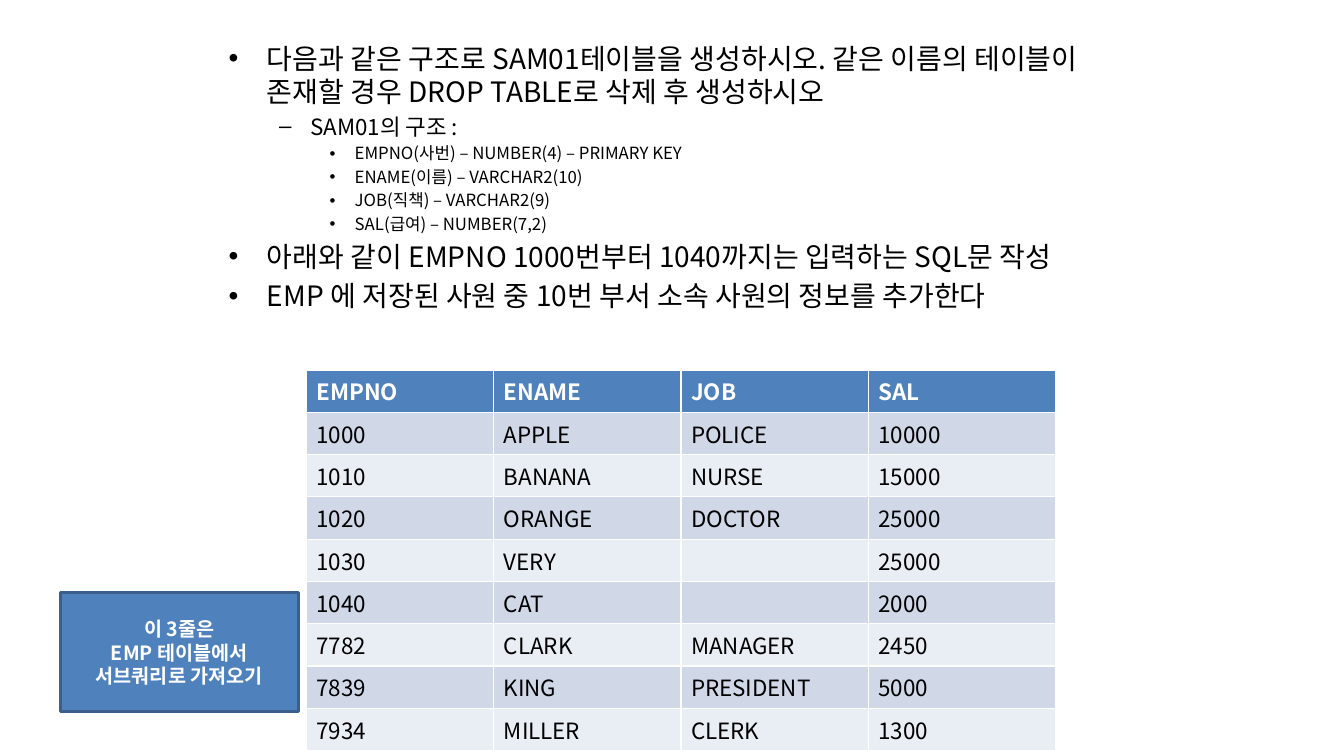
from lxml import etree
from pptx import Presentation
from pptx.dml.color import RGBColor
from pptx.enum.shapes import MSO_SHAPE
from pptx.enum.text import MSO_ANCHOR, PP_ALIGN
from pptx.oxml.ns import qn
from pptx.util import Inches, Pt

RECT = MSO_SHAPE.RECTANGLE
MIDDLE = MSO_ANCHOR.MIDDLE
CENTER = PP_ALIGN.CENTER

FONT = "Noto Sans CJK KR"
BLUE, EDGE, BLACK, WHITE = "4F81BD", "3A5F8C", "000000", "FFFFFF"
BANDS = ("E9EDF4", "D0D8E8")

# Per level: size, left margin, hanging indent, bullet
LEVELS = (
    (20, 0.38, 0.38, "•"),
    (16, 0.81, 0.31, "–"),
    (12, 1.25, 0.25, "•"),
)

TASKS = (
    (0, "다음과 같은 구조로 SAM01테이블을 생성하시오. 같은 이름의 테이블이 "
        "존재할 경우 DROP TABLE로 삭제 후 생성하시오"),
    (1, "SAM01의 구조 :"),
    (2, "EMPNO(사번) – NUMBER(4) – PRIMARY KEY"),
    (2, "ENAME(이름) – VARCHAR2(10)"),
    (2, "JOB(직책) – VARCHAR2(9)"),
    (2, "SAL(급여) – NUMBER(7,2)"),
    (0, "아래와 같이 EMPNO 1000번부터 1040까지는 입력하는 SQL문 작성"),
    (0, "EMP 에 저장된 사원 중 10번 부서 소속 사원의 정보를 추가한다"),
)

ROWS = (
    ("EMPNO", "ENAME", "JOB", "SAL"),
    ("1000", "APPLE", "POLICE", "10000"),
    ("1010", "BANANA", "NURSE", "15000"),
    ("1020", "ORANGE", "DOCTOR", "25000"),
    ("1030", "VERY", "", "25000"),
    ("1040", "CAT", "", "2000"),
    ("7782", "CLARK", "MANAGER", "2450"),
    ("7839", "KING", "PRESIDENT", "5000"),
    ("7934", "MILLER", "CLERK", "1300"),
)

NOTE = ("이 3줄은", "EMP 테이블에서", "서브쿼리로 가져오기")


def color(code):
    return RGBColor.from_string(code)


def apply(part, values):
    for name, value in values.items():
        setattr(part, name, value)


def write(para, text, size, tint, bold=False):
    """Put one run in a paragraph, with the font for Latin and Hangul."""
    run = para.add_run()
    run.text = text
    apply(run.font, {"name": FONT, "size": Pt(size), "bold": bold})
    run.font.color.rgb = color(tint)
    props = run.font._element
    east = etree.SubElement(props, qn("a:ea"))
    east.set("typeface", FONT)


def lines(frame, count):
    """Yield the given number of paragraphs of a text frame."""
    yield frame.paragraphs[0]
    for _ in range(count - 1):
        yield frame.add_paragraph()


def add_tasks(slide, box):
    frame = slide.shapes.add_textbox(*map(Inches, box)).text_frame
    frame.word_wrap = True
    for para, (level, text) in zip(lines(frame, len(TASKS)), TASKS):
        size, left, hang, mark = LEVELS[level]
        apply(para, {"level": level, "space_before": Pt(size * 0.2),
                     "line_spacing": Pt(size * 1.2)})
        # Hanging bullet
        props = para._p.get_or_add_pPr()
        props.set("marL", str(Inches(left)))
        props.set("indent", str(-Inches(hang)))
        face = etree.SubElement(props, qn("a:buFont"))
        face.set("typeface", "Arial")
        etree.SubElement(props, qn("a:buChar")).set("char", mark)
        write(para, text, size, BLACK)


def add_grid(slide, box):
    frame = slide.shapes.add_table(len(ROWS), len(ROWS[0]),
                                   *map(Inches, box))
    table = frame.table
    for r, row in enumerate(ROWS):
        head = r == 0
        for c, text in enumerate(row):
            cell = table.cell(r, c)
            cell.fill.solid()
            cell.fill.fore_color.rgb = color(BLUE if head else BANDS[r % 2])
            para = cell.text_frame.paragraphs[0]
            if text:
                write(para, text, 16, WHITE if head else BLACK, head)
            else:
                para.font.size = Pt(16)


def add_note(slide, box):
    shape = slide.shapes.add_shape(RECT, *map(Inches, box))
    shape.shadow.inherit = False
    shape.fill.solid()
    shape.fill.fore_color.rgb = color(BLUE)
    shape.line.color.rgb = color(EDGE)
    shape.line.width = Pt(2)
    frame = shape.text_frame
    apply(frame, {"word_wrap": True, "vertical_anchor": MIDDLE})
    for para, text in zip(lines(frame, len(NOTE)), NOTE):
        apply(para, {"alignment": CENTER, "line_spacing": Pt(16.8)})
        write(para, text, 14, WHITE, True)


deck = Presentation()
apply(deck, {"slide_width": Inches(13.33), "slide_height": Inches(7.5)})
page = deck.slides.add_slide(deck.slide_layouts[6])
add_tasks(page, (2.17, 0.36, 9, 6.34))
add_grid(page, (3.04, 3.67, 7.43, 3.78))
add_note(page, (0.6, 5.88, 2.36, 1.18))
deck.save("out.pptx")
